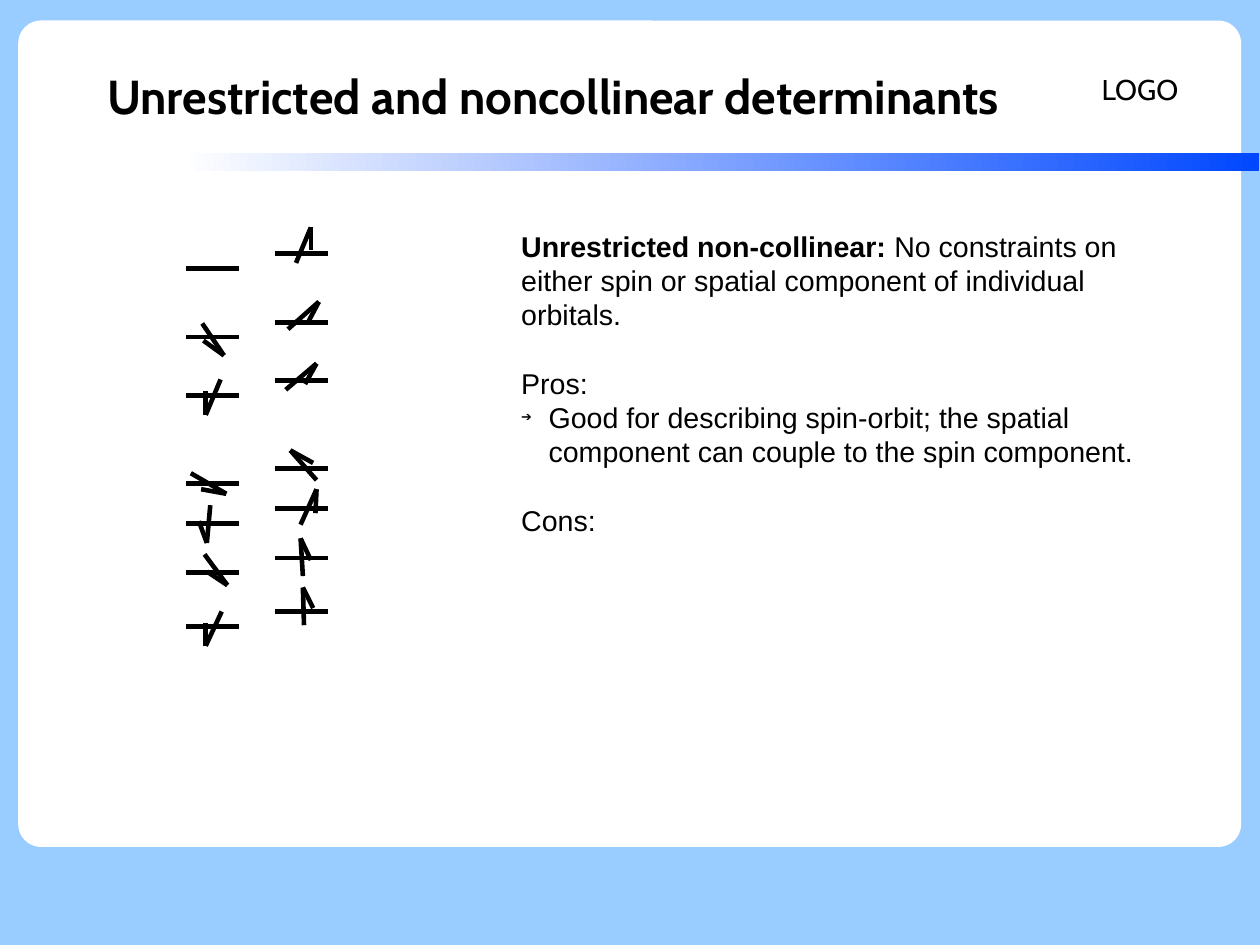
"""Builds the slide on unrestricted and noncollinear determinants."""
from lxml import etree
from pptx import Presentation
from pptx import util as u
from pptx.dml.color import RGBColor
from pptx.enum import shapes, text
from pptx.oxml.ns import qn

COLORS = {"sky": "99CCFF", "paper": "FFFFFF", "band": "0047FF", "ink": "000000"}
PAGE = {"slide_width": u.Emu(10080625), "slide_height": u.Emu(7559675)}
LEFT_COLUMN, RIGHT_COLUMN = 1.63, 2.41
LEVEL_WIDTH, LEFT_DROP = 0.46, 0.13

# Each level: height on the right, then the spins (tip, tail, barb) left and right.
LEVELS = [
    (2.22, None, ((2.72, 1.99), (2.59, 2.3), (2.72, 2.19))),
    (2.82, ((1.96, 3.11), (1.77, 2.83), (1.78, 2.98)),
     ((2.79, 2.64), (2.52, 2.88), (2.69, 2.83))),
    (3.33, ((1.8, 3.63), (1.93, 3.32), (1.8, 3.42)),
     ((2.77, 3.18), (2.5, 3.41), (2.67, 3.36))),
    (4.1, ((1.98, 4.32), (1.67, 4.14), (1.76, 4.28)),
     ((2.54, 3.94), (2.77, 4.2), (2.74, 4.05))),
    (4.45, ((1.81, 4.75), (1.84, 4.42), (1.74, 4.56)),
     ((2.77, 4.28), (2.63, 4.59), (2.76, 4.49))),
    (4.88, ((1.99, 5.12), (1.79, 4.85), (1.81, 5)),
     ((2.63, 4.71), (2.65, 5.04), (2.72, 4.9))),
    (5.35, ((1.8, 5.65), (1.94, 5.35), (1.8, 5.45)),
     ((2.65, 5.14), (2.66, 5.47), (2.74, 5.32))),
]

# Each paragraph: runs (wording, bold), gap before in points, bulleted or not.
DISCUSSION = [
    ([("Unrestricted non-collinear: ", True),
      ("No constraints on either spin or spatial component of individual orbitals.",
       False)], 0, False),
    ([("Pros:", False)], 21.6, False),
    ([("Good for describing spin-orbit; the spatial component can couple "
       "to the spin component.", False)], 0, True),
    ([("Cons:", False)], 21.6, False),
]


def rgb(name):
    return RGBColor.from_string(COLORS[name])


def apply(target, values):
    for key, value in values.items():
        setattr(target, key, value)


class Board:
    """Holds the style and the current slide."""

    def __init__(self, deck):
        self.slide = deck.slides.add_slide(deck.slide_layouts[1])
        self.shapes = self.slide.shapes
        self.slide.background.fill.solid()
        self.slide.background.fill.fore_color.rgb = rgb("sky")

    def block(self, kind, left, top, width, height):
        block = self.shapes.add_shape(kind, *map(u.Inches, (left, top, width, height)))
        block.shadow.inherit = False
        block.line.fill.background()
        return block

    def panel(self, left, top, width, height, radius):
        panel = self.block(shapes.MSO_SHAPE.ROUNDED_RECTANGLE, left, top, width, height)
        panel.adjustments[0] = radius / min(width, height)
        panel.fill.solid()
        panel.fill.fore_color.rgb = rgb("paper")

    def band(self, *place):
        fill = self.block(shapes.MSO_SHAPE.RECTANGLE, *place).fill
        fill.gradient()
        fill.gradient_angle = 0
        for stop, position, name in zip(fill.gradient_stops, (0, 1), ("paper", "band")):
            stop.position = position
            stop.color.rgb = rgb(name)

    def line(self, start, end):
        line = self.shapes.add_connector(
            shapes.MSO_CONNECTOR.STRAIGHT, *map(u.Inches, (*start, *end)))
        line.line.width = u.Pt(2.89)
        line.line.color.rgb = rgb("ink")
        etree.SubElement(line._element.spPr, qn("a:effectLst"))

    def level(self, left, height):
        self.line((left, height), (left + LEVEL_WIDTH, height))

    def spin(self, tip, tail, barb):
        self.line(tip, tail)
        self.line(tip, barb)

    def frame(self, holder, place, inset, anchor):
        apply(holder, dict(zip(("left", "top", "width", "height"), map(u.Inches, place))))
        frame = holder.text_frame
        side, edge = map(u.Inches, inset)
        apply(frame, {"word_wrap": True, "auto_size": text.MSO_AUTO_SIZE.NONE,
                      "vertical_anchor": anchor, "margin_left": side,
                      "margin_right": side, "margin_top": edge, "margin_bottom": edge})
        return frame

    def run(self, paragraph, wording, **style):
        run = paragraph.add_run()
        run.text = wording
        apply(run.font, style)
        run.font.color.rgb = rgb("ink")

    def title(self, wording, *place):
        title = self.shapes.title
        self.shapes._spTree.append(title._element)
        heading = self.frame(title, place, (0, 0), text.MSO_ANCHOR.MIDDLE).paragraphs[0]
        heading.alignment = text.PP_ALIGN.CENTER
        self.run(heading, wording, name="Cabin", size=u.Pt(30), bold=True)

    def label(self, wording, *place):
        label = self.shapes.add_textbox(0, 0, 0, 0)
        frame = self.frame(label, place, (0.1, 0.05), text.MSO_ANCHOR.MIDDLE)
        self.run(frame.paragraphs[0], wording, name="Cabin", size=u.Pt(18))

    def bullet(self, paragraph, shown):
        hang = u.Inches(0.24) if shown else 0
        props = paragraph._p.get_or_add_pPr()
        props.set("marL", str(hang))
        props.set("indent", str(-hang))
        if not shown:
            etree.SubElement(props, qn("a:buNone"))
            return
        color = etree.SubElement(props, qn("a:buClr"))
        etree.SubElement(color, qn("a:srgbClr"), val=COLORS["ink"])
        etree.SubElement(props, qn("a:buSzPct"), val="45000")
        etree.SubElement(props, qn("a:buChar"), char="➔")

    def body(self, paragraphs, *place):
        body = self.slide.placeholders[1]
        self.shapes._spTree.append(body._element)
        frame = self.frame(body, place, (0.1, 0.05), text.MSO_ANCHOR.TOP)
        for index, (runs, gap, bulleted) in enumerate(paragraphs):
            paragraph = frame.add_paragraph() if index else frame.paragraphs[0]
            self.bullet(paragraph, bulleted)
            apply(paragraph, {"alignment": text.PP_ALIGN.LEFT, "line_spacing": u.Pt(21.6),
                              "space_before": u.Pt(gap), "space_after": u.Pt(0)})
            for wording, bold in runs:
                self.run(paragraph, wording, name="Arial", size=u.Pt(18), bold=bold)


def main():
    deck = Presentation()
    apply(deck, PAGE)
    board = Board(deck)
    board.panel(0.16, 0.18, 10.7, 7.23, radius=0.2)
    board.band(1.57, 1.34, 9.45, 0.16)
    board.label("LOGO", 9.54, 0.31, 0.91, 0.94)
    board.title("Unrestricted and noncollinear determinants", 0.55, 0.33, 8.58, 1.01)
    for height, left_spin, right_spin in LEVELS:
        board.level(LEFT_COLUMN, height + LEFT_DROP)
        board.level(RIGHT_COLUMN, height)
        for spin in filter(None, (left_spin, right_spin)):
            board.spin(*spin)
    board.body(DISCUSSION, 4.46, 1.95, 5.94, 2.9)
    deck.save("out.pptx")


if __name__ == "__main__":
    main()
